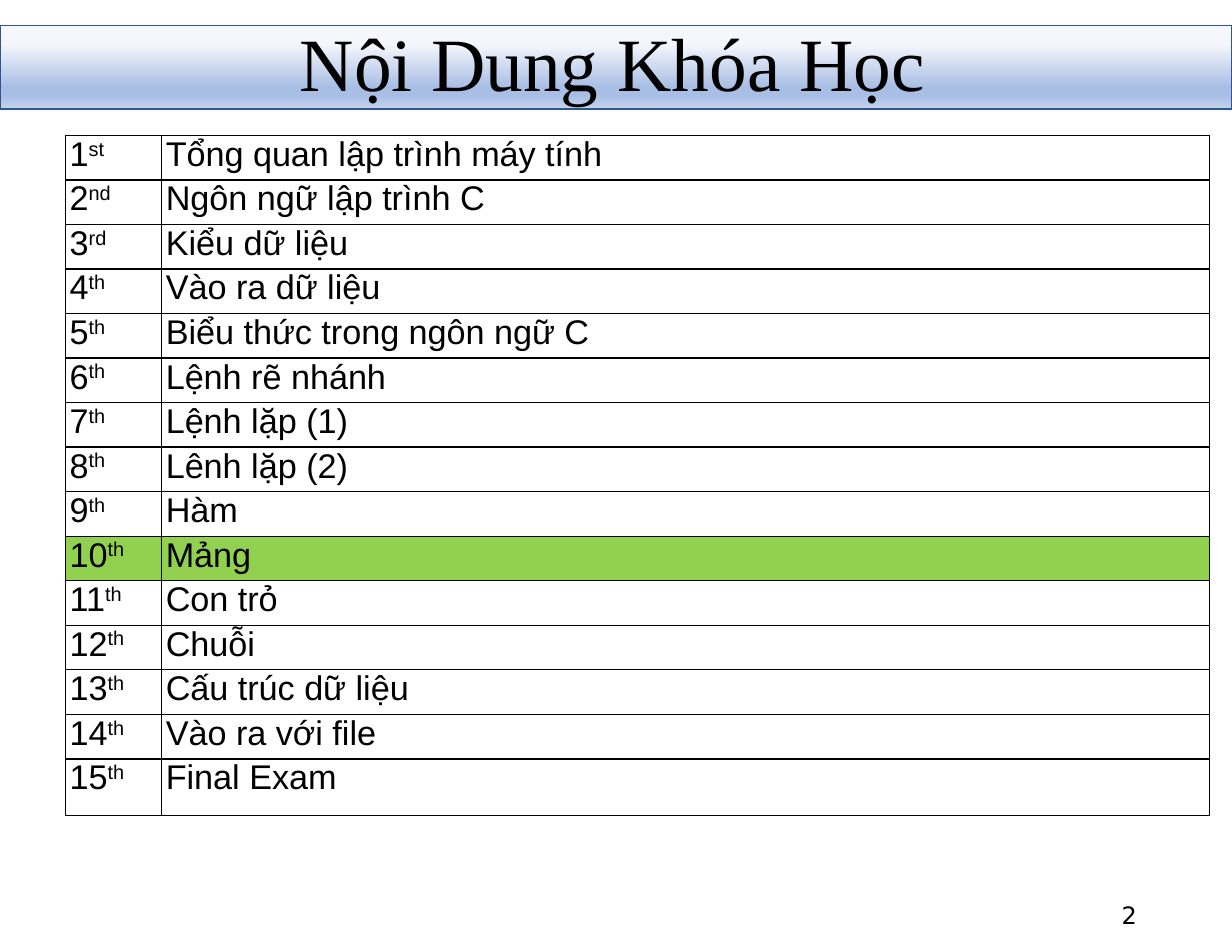
from typing import NamedTuple

from lxml.etree import SubElement as Sub
from pptx import Presentation
from pptx.dml.color import RGBColor
from pptx.enum.shapes import MSO_SHAPE as Shape
from pptx.enum.text import MSO_ANCHOR as Anchor, PP_ALIGN as Align
from pptx.oxml.ns import qn
from pptx.util import Cm, Pt

BLACK = RGBColor(0, 0, 0)
GREEN = RGBColor(0x92, 0xD0, 0x50)
NAVY = RGBColor(0x31, 0x53, 0x8F)
PALE = RGBColor(0xF5, 0xF7, 0xFC)
BLUE = RGBColor(0xA9, 0xBE, 0xE4)
LIGHT = RGBColor(0xC5, 0xD3, 0xED)
STOPS = [(0, PALE), (22, PALE), (74, BLUE), (83, BLUE), (100, LIGHT)]


class Box(NamedTuple):
    left: float
    top: float
    width: float
    height: float


class Label(NamedTuple):
    text: str
    box: Box
    face: str
    size: float
    align: Align
    space: float


LABELS = [
    Label("Nội Dung Khóa Học", Box(6.55, -0.81, 22.71, 4.65),
          "Times New Roman", 48.4, Align.LEFT, 0.9),
    Label("2", Box(22.53, 20.19, 3.5, 1.14), "DejaVu Sans", 15.4, Align.RIGHT, 1.0),
]
TOPICS = [
    "Tổng quan lập trình máy tính", "Ngôn ngữ lập trình C", "Kiểu dữ liệu",
    "Vào ra dữ liệu", "Biểu thức trong ngôn ngữ C", "Lệnh rẽ nhánh",
    "Lệnh lặp (1)", "Lênh lặp (2)", "Hàm", "Mảng", "Con trỏ", "Chuỗi",
    "Cấu trúc dữ liệu", "Vào ra với file", "Final Exam",
]
NOW = 10
ENDS = {1: "st", 2: "nd", 3: "rd"}
COLS = (2.18, 23.77)
ROW, LAST = 1.01, 1.29
CELL = {"margin_left": Cm(0.1), "margin_right": Cm(0.1),
        "margin_top": 0, "margin_bottom": 0}


def place(box: Box) -> list:
    return [Cm(n) for n in box]


def style(run, face: str, size: float) -> None:
    for key, val in {"name": face, "size": Pt(size)}.items():
        setattr(run.font, key, val)
    run.font.color.rgb = BLACK


def add_band(slide, box: Box) -> None:
    band = slide.shapes.add_shape(Shape.RECTANGLE, *place(box))
    band.shadow.inherit = False
    band.line.color.rgb = NAVY
    band.line.width = Pt(1)
    band.fill.gradient()
    grad = band.fill._fill._gradFill
    for part in list(grad):
        grad.remove(part)
    stops = Sub(grad, qn("a:gsLst"))
    for pos, color in STOPS:
        stop = Sub(stops, qn("a:gs"), pos=str(pos * 1000))
        Sub(stop, qn("a:srgbClr"), val=str(color))
    Sub(grad, qn("a:lin"), ang="5400000", scaled="0")


def add_label(slide, label: Label) -> None:
    frame = slide.shapes.add_textbox(*place(label.box)).text_frame
    for key, val in {"word_wrap": True, "vertical_anchor": Anchor.MIDDLE}.items():
        setattr(frame, key, val)
    para = frame.paragraphs[0]
    para.alignment = label.align
    para.line_spacing = label.space
    run = para.add_run()
    run.text = label.text
    style(run, label.face, label.size)


def fill_cell(cell, text: str, end: str, now: bool) -> None:
    for key, val in CELL.items():
        setattr(cell, key, val)
    # Borders come before the fill in the cell properties
    props = cell._tc.get_or_add_tcPr()
    for side in "LRTB":
        line = Sub(props, qn(f"a:ln{side}"), w=str(Pt(1)))
        Sub(Sub(line, qn("a:solidFill")), qn("a:srgbClr"), val=str(BLACK))
    if now:
        cell.fill.solid()
        cell.fill.fore_color.rgb = GREEN
    else:
        cell.fill.background()
    para = cell.text_frame.paragraphs[0]
    para.alignment = Align.JUSTIFY
    for part, base in ((text, 0), (end, 30)):
        if part:
            run = para.add_run()
            run.text = part
            style(run, "Arial", 22)
            if base:
                run.font._element.set("baseline", str(base * 1000))


def add_plan(slide) -> None:
    count = len(TOPICS)
    box = Box(1.48, 3.07, sum(COLS), ROW * (count - 1) + LAST)
    table = slide.shapes.add_table(count, len(COLS), *place(box)).table
    table.first_row = table.horz_banding = False
    for col, width in zip(table.columns, COLS):
        col.width = Cm(width)
    for num, (row, topic) in enumerate(zip(table.rows, TOPICS), 1):
        row.height = Cm(LAST if num == count else ROW)
        fill_cell(row.cells[0], str(num), ENDS.get(num, "th"), num == NOW)
        fill_cell(row.cells[1], topic, "", num == NOW)


def main() -> None:
    deck = Presentation()
    deck.slide_width, deck.slide_height = Cm(27.94), Cm(21.59)
    slide = deck.slides.add_slide(deck.slide_layouts[6])
    # Title band
    add_band(slide, Box(0, 0.58, 27.94, 1.9))
    # Title and page number
    for label in LABELS:
        add_label(slide, label)
    # Course plan
    add_plan(slide)
    deck.save("out.pptx")


if __name__ == "__main__":
    main()
